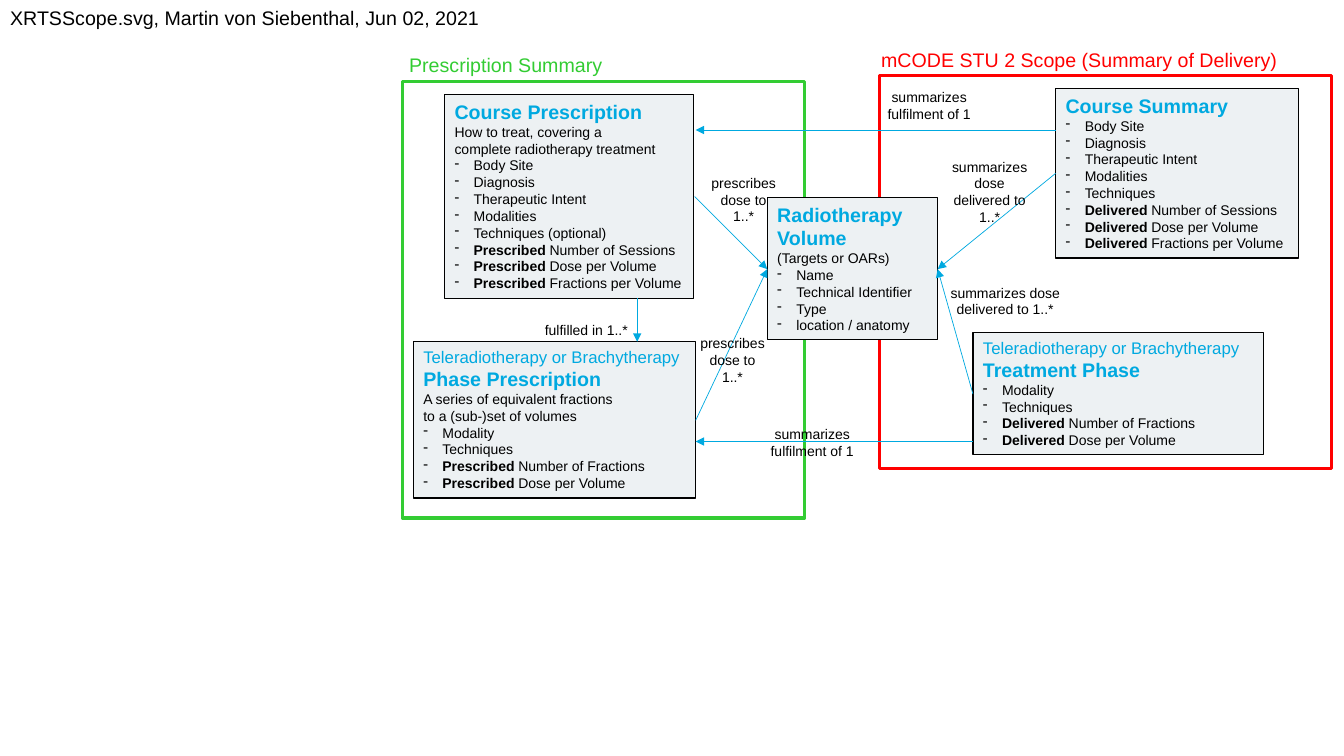
import pptx
import pptx.util
import pptx.dml.color
import pptx.enum.shapes
import pptx.enum.text
import pptx.oxml.ns
import lxml.etree

Inches = pptx.util.Inches
Pt = pptx.util.Pt
RECTANGLE = pptx.enum.shapes.MSO_SHAPE.RECTANGLE
ALIGN = pptx.enum.text.PP_ALIGN
COLORS = {"text": "000000", "accent": "00A9E0", "panel": "EDF1F3",
          "prescription": "33CC33", "delivery": "FF0000"}
RGB = {name: pptx.dml.color.RGBColor.from_string(value) for name, value in COLORS.items()}


def add_run(paragraph, text, size=10, color="text", bold=False):
    run = paragraph.add_run()
    run.text = text
    formats = {"name": "Arial", "size": Pt(size), "bold": bold}
    for attribute, value in formats.items():
        setattr(run.font, attribute, value)
    run.font.color.rgb = RGB[color]


def set_frame(shape, **changes):
    formats = {"word_wrap": True, "auto_size": pptx.enum.text.MSO_AUTO_SIZE.NONE,
               "vertical_anchor": pptx.enum.text.MSO_ANCHOR.TOP}
    for attribute, value in {**formats, **changes}.items():
        setattr(shape.text_frame, attribute, value)
    return shape.text_frame


presentation = pptx.Presentation()
presentation.slide_width = Inches(13.33)
presentation.slide_height = Inches(7.5)
slide = presentation.slides.add_slide(presentation.slide_layouts[5])

# Title
title = slide.shapes.title
title.left, title.top, title.width, title.height = map(Inches, (0, 0.03, 12.3, 0.68))
paragraph = set_frame(title).paragraphs[0]
paragraph.alignment = ALIGN.LEFT
paragraph.line_spacing = 0.9
add_run(paragraph, "XRTSScope.svg, Martin von Siebenthal, Jun 02, 2021", 14)

# Scope frames with captions
scopes = [
    ("mCODE STU 2 Scope (Summary of Delivery)", "delivery",
     (8.64, 0.31, 4.26, 0.53), (8.72, 0.75, 4.49, 3.9)),
    ("Prescription Summary", "prescription",
     (3.96, 0.36, 3.24, 0.53), (3.99, 0.81, 3.99, 4.33)),
]
for text, color, caption_place, frame_place in scopes:
    caption = slide.shapes.add_textbox(*map(Inches, caption_place))
    paragraph = set_frame(caption).paragraphs[0]
    paragraph.line_spacing = 1.5
    add_run(paragraph, text, 14, color)
    frame = slide.shapes.add_shape(RECTANGLE, *map(Inches, frame_place))
    frame.shadow.inherit = False
    frame.fill.background()
    frame.line.color.rgb = RGB[color]
    frame.line.width = Pt(2.25)

# Concept boxes: place, kicker, heading, notes, bullets
KICKER = "Teleradiotherapy or Brachytherapy"
boxes = [
    ((4.41, 0.94, 2.47, 2.02), None, "Course Prescription",
     ["How to treat, covering a", "complete radiotherapy treatment"],
     ["Body Site", "Diagnosis", "Therapeutic Intent", "Modalities",
      "Techniques (optional)", "Prescribed Number of Sessions",
      "Prescribed Dose per Volume", "Prescribed Fractions per Volume"]),
    ((10.47, 0.88, 2.41, 1.68), None, "Course Summary", [],
     ["Body Site", "Diagnosis", "Therapeutic Intent", "Modalities",
      "Techniques", "Delivered Number of Sessions",
      "Delivered Dose per Volume", "Delivered Fractions per Volume"]),
    ((9.65, 3.3, 2.88, 1.21), KICKER, "Treatment Phase", [],
     ["Modality", "Techniques", "Delivered Number of Fractions",
      "Delivered Dose per Volume"]),
    ((4.1, 3.39, 2.8, 1.55), KICKER, "Phase Prescription",
     ["A series of equivalent fractions", "to a (sub-)set of volumes"],
     ["Modality", "Techniques", "Prescribed Number of Fractions",
      "Prescribed Dose per Volume"]),
    ((7.61, 1.96, 1.69, 1.41), None, "Radiotherapy Volume", ["(Targets or OARs)"],
     ["Name", "Technical Identifier", "Type", "location / anatomy"]),
]
for place, kicker, heading, notes, bullets in boxes:
    box = slide.shapes.add_shape(RECTANGLE, *map(Inches, place))
    box.shadow.inherit = False
    box.fill.solid()
    box.fill.fore_color.rgb = RGB["panel"]
    box.line.color.rgb = RGB["text"]
    box.line.width = Pt(1)
    text_frame = set_frame(box)
    paragraph = text_frame.paragraphs[0]
    paragraph.alignment = ALIGN.LEFT
    if kicker:
        add_run(paragraph, kicker, 12, "accent")
        paragraph.add_line_break()
    add_run(paragraph, heading, 14, "accent", True)
    for note in notes:
        paragraph = text_frame.add_paragraph()
        paragraph.alignment = ALIGN.LEFT
        add_run(paragraph, note)
    for bullet in bullets:
        paragraph = text_frame.add_paragraph()
        paragraph.alignment = ALIGN.LEFT
        properties = paragraph._p.get_or_add_pPr()
        properties.set("marL", str(Inches(0.19)))
        properties.set("indent", str(-Inches(0.19)))
        mark = lxml.etree.SubElement(properties, pptx.oxml.ns.qn("a:buChar"))
        mark.set("char", "-")
        first, space, rest = bullet.partition(" ")
        if first in ("Prescribed", "Delivered"):
            add_run(paragraph, first, bold=True)
            add_run(paragraph, space + rest)
        else:
            add_run(paragraph, bullet)

# Arrows between the boxes
arrows = [
    (10.47, 1.29, 6.9, 1.29),
    (9.65, 4.38, 6.9, 4.38),
    (6.32, 2.96, 6.32, 3.39),
    (10.47, 1.72, 9.3, 2.67),
    (9.65, 3.91, 9.3, 2.67),
    (6.9, 4.17, 7.61, 2.67),
    (6.89, 1.95, 7.61, 2.67),
]
for ends in arrows:
    arrow = slide.shapes.add_connector(
        pptx.enum.shapes.MSO_CONNECTOR.STRAIGHT, *map(Inches, ends))
    arrow.line.color.rgb = RGB["accent"]
    arrow.line.width = Pt(0.5)
    head = lxml.etree.SubElement(arrow.line._get_or_add_ln(), pptx.oxml.ns.qn("a:tailEnd"))
    head.set("type", "triangle")
    lxml.etree.SubElement(arrow._element.spPr, pptx.oxml.ns.qn("a:effectLst"))

# Arrow labels
labels = [
    (["fulfilled in 1..*"], (5.16, 3.14, 1.31, 0.27)),
    (["summarizes fulfilment of 1"], (7.52, 4.17, 1.07, 0.44)),
    (["summarizes fulfilment of 1"], (8.68, 0.83, 1.07, 0.44)),
    (["summarizes dose delivered to 1..*"], (9.17, 2.77, 1.6, 0.44)),
    (["summarizes dose delivered to 1..*"], (9.28, 1.52, 1.07, 0.77)),
    (["prescribes dose to", "1..*"], (6.92, 1.68, 0.91, 0.61)),
    (["prescribes dose to", "1..*"], (6.81, 3.27, 0.91, 0.61)),
]
for lines, place in labels:
    label = slide.shapes.add_textbox(*map(Inches, place))
    text_frame = set_frame(label)
    for index, line in enumerate(lines):
        paragraph = text_frame.add_paragraph() if index else text_frame.paragraphs[0]
        paragraph.alignment = ALIGN.CENTER
        add_run(paragraph, line)

presentation.save("out.pptx")
